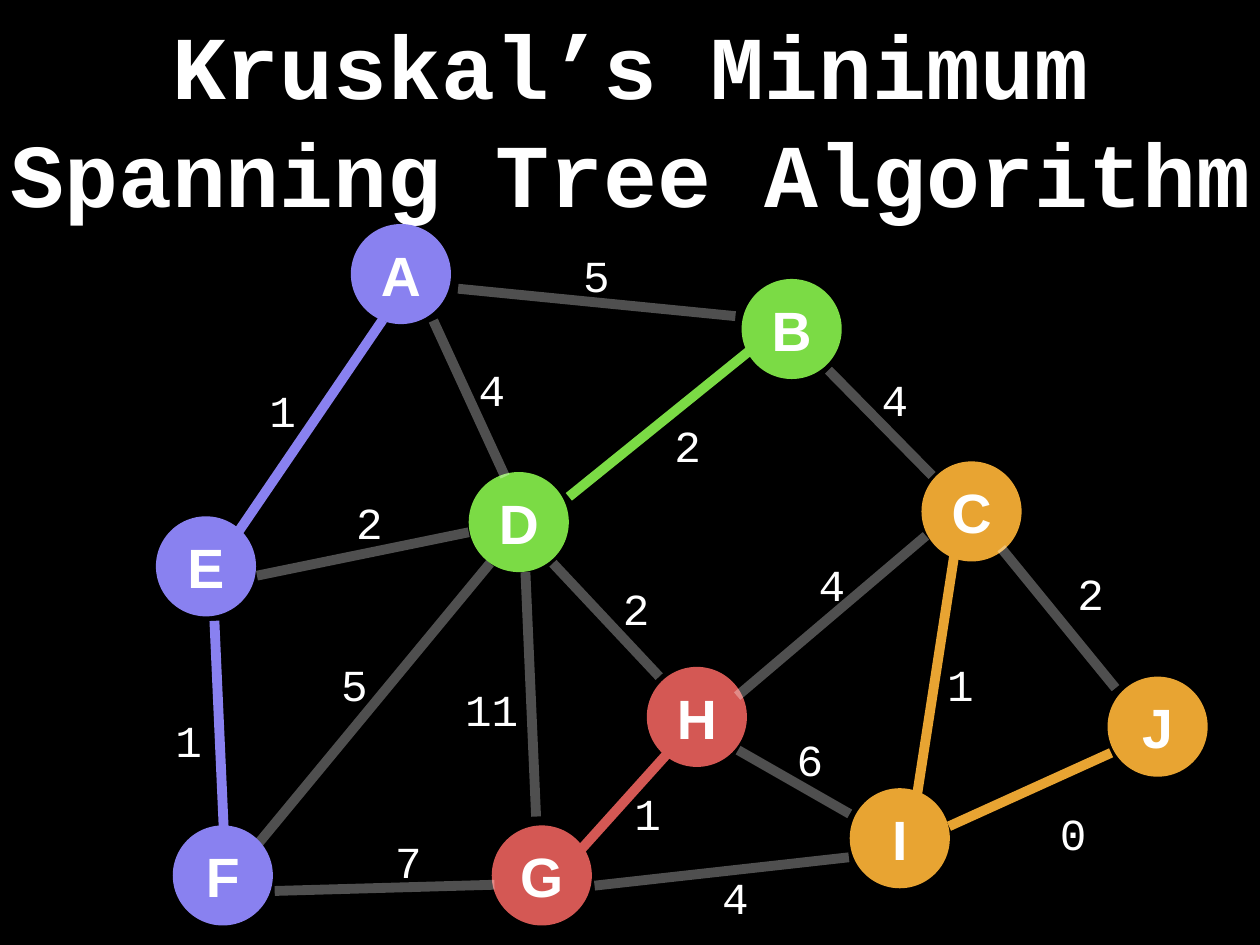
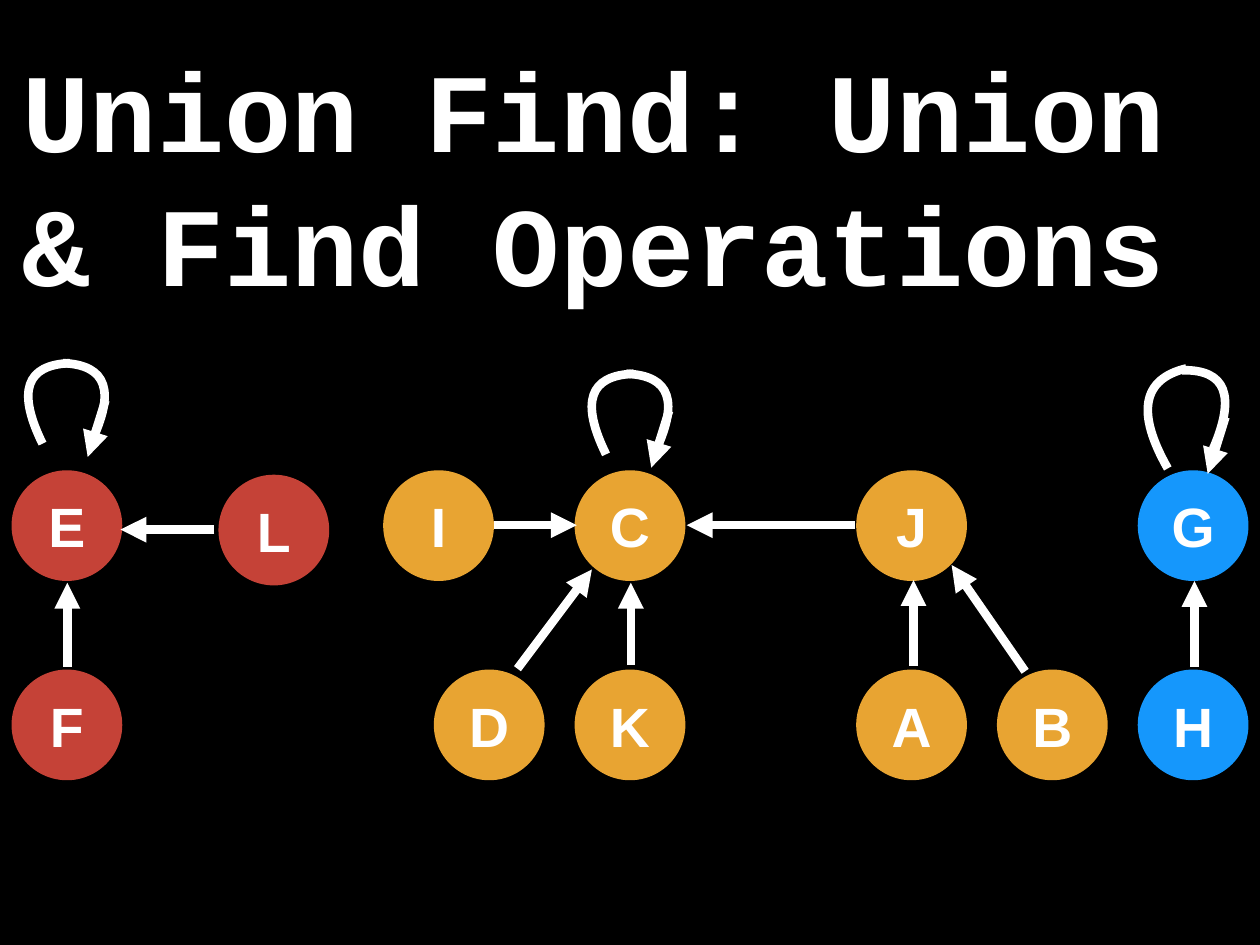
"""Build two graph slides: a spanning tree and a union-find forest."""
import pptx
import pptx.util
import pptx.dml.color
import pptx.enum.shapes
import pptx.enum.text
import pptx.oxml.ns
from lxml import etree

Inches, Pt, qn = pptx.util.Inches, pptx.util.Pt, pptx.oxml.ns.qn
RGB = pptx.dml.color.RGBColor
BLACK, WHITE = RGB(0, 0, 0), RGB(0xFF, 0xFF, 0xFF)
PURPLE, GREEN = RGB(0x89, 0x81, 0xF0), RGB(0x7B, 0xDB, 0x45)
ROSE, AMBER = RGB(0xD4, 0x58, 0x54), RGB(0xE8, 0xA4, 0x32)
BRICK, BLUE = RGB(0xC5, 0x42, 0x37), RGB(0x15, 0x97, 0xFC)
SANS, MONO = "Arial", "Courier New"
FAINT = 31

TREE_TITLE = "Kruskal’s Minimum Spanning Tree Algorithm"
TREE_SIZE = 1.13
BACK_NODES = [
    ("A", 3.96, 2.53, PURPLE), ("D", 5.29, 5.33, GREEN), ("G", 5.55, 9.32, ROSE),
    ("B", 8.37, 3.15, GREEN), ("H", 7.3, 7.53, ROSE), ("I", 9.59, 8.9, AMBER),
    ("C", 10.4, 5.21, AMBER), ("J", 12.5, 7.64, AMBER),
]
FRONT_NODES = [("E", 1.76, 5.83, PURPLE), ("F", 1.95, 9.32, PURPLE)]
# start, end, weight, centre of the weight, colour of a chosen edge
EDGES = [
    ((6.55, 9.6), (7.54, 8.5), "1", (7.31, 9.18), ROSE),
    ((2.82, 9.64), (5.53, 6.36), "5", (4, 7.72), None),
    ((2.9, 6.5), (5.29, 6.01), "2", (4.17, 5.89), None),
    ((6.71, 10), (9.58, 9.68), "4", (8.3, 10.13), None),
    ((10.34, 9.04), (10.78, 6.2), "1", (10.84, 7.72), AMBER),
    ((5.17, 3.26), (8.3, 3.57), "5", (6.73, 3.1), None),
    ((6.42, 5.61), (8.46, 3.96), "2", (7.76, 5.02), GREEN),
    ((6.24, 6.36), (7.44, 7.64), "2", (7.18, 6.86), None),
    ((9.35, 4.18), (10.52, 5.37), "4", (10.1, 4.5), None),
    ((6.05, 9.22), (5.93, 6.46), "11", (5.55, 8), None),
    ((8.32, 7.86), (10.45, 6.05), "4", (9.39, 6.59), None),
    ((3.1, 10.06), (5.58, 9.99), "7", (4.61, 9.72), None),
    ((4.89, 3.62), (5.7, 5.38), "4", (5.55, 4.39), None),
    ((8.33, 8.47), (9.59, 9.19), "6", (9.14, 8.57), None),
    ((10.71, 9.33), (12.54, 8.5), "0", (12.11, 9.4), AMBER),
    ((11.3, 6.19), (12.59, 7.77), "2", (12.31, 6.69), None),
    ((2.68, 6.02), (4.32, 3.61), "1", (3.19, 4.63), PURPLE),
    ((2.42, 7.01), (2.53, 9.47), "1", (2.13, 8.35), PURPLE),
]

UNION_TITLE = "Union Find: Union & Find Operations"
UNION_SIZE, LEFT, RIGHT = 1.25, 0.13, 12.84
STEP = (RIGHT - LEFT) / 8
HIGH, LOW = 5.31, 7.56
MEMBERS = [
    ("H", 8, LOW, BLUE), ("B", 7, LOW, AMBER), ("C", 4, HIGH, AMBER),
    ("D", 3, LOW, AMBER), ("E", 0, HIGH, BRICK), ("L", 1.47, 5.36, BRICK),
    ("G", 8, HIGH, BLUE), ("A", 6, LOW, AMBER), ("I", 2.64, HIGH, AMBER),
    ("J", 6, HIGH, AMBER), ("K", 4, LOW, AMBER), ("F", 0, LOW, BRICK),
]
ARROWS = [
    ((7.12, 7.51), (7.12, 6.58)), ((0.76, 7.53), (0.76, 6.58)),
    ((10.31, 7.52), (10.31, 6.55)), ((11.57, 7.58), (10.74, 6.38)),
    ((5.84, 7.55), (6.68, 6.43)), ((5.57, 5.93), (6.51, 5.93)),
    ((2.42, 5.98), (1.36, 5.98)), ((9.65, 5.93), (7.75, 5.93)),
    ((13.48, 7.53), (13.48, 6.56)),
]
HALF = [(0.04, 0), (-0.46, 0.02), (-0.56, 0.32), (-0.27, 0.91)]
EVEN = [HALF, [(-x, y) for x, y in HALF]]
SKEWED = [
    [(0.04, 0), (-0.46, 0.12), (-0.53, 0.5), (-0.17, 1.13)],
    [(-0.01, 0.02), (0.49, 0.01), (0.6, 0.31), (0.34, 0.91)],
]
LOOPS = [
    (7.11, 4.22, EVEN, [(0.44, 0.42), (0.24, 1.06)]),
    (0.75, 4.1, EVEN, [(0.44, 0.42), (0.24, 1.06)]),
    (13.35, 4.16, SKEWED, [(0.48, 0.55), (0.28, 1.19)]),
]


def write(shape, text, size, font, bold=False):
    frame = shape.text_frame
    frame.text = text
    frame.word_wrap = True
    frame.auto_size = pptx.enum.text.MSO_AUTO_SIZE.NONE
    frame.vertical_anchor = pptx.enum.text.MSO_ANCHOR.MIDDLE
    frame.margin_left = frame.margin_right = Inches(0.06)
    frame.margin_top = frame.margin_bottom = Inches(0.06)
    line = frame.paragraphs[0]
    line.alignment = pptx.enum.text.PP_ALIGN.CENTER
    face = line.runs[0].font
    face.size, face.name, face.bold = Pt(size), font, bold
    face.color.rgb = WHITE


def start(deck, text, size, box):
    slide = deck.slides.add_slide(deck.slide_layouts[5])
    title = slide.shapes.title
    title.left, title.top, title.width, title.height = map(Inches, box)
    write(title, text, size, MONO, True)
    return slide


def node(slide, name, x, y, size, color):
    oval = pptx.enum.shapes.MSO_SHAPE.OVAL
    shape = slide.shapes.add_shape(oval, *map(Inches, (x, y, size, size)))
    shape.shadow.inherit = False
    shape.fill.solid()
    shape.fill.fore_color.rgb = color
    shape.line.fill.background()
    write(shape, name, 45, SANS, True)


def link(slide, tail, head, width, color, alpha=None, arrow=False):
    kind = pptx.enum.shapes.MSO_CONNECTOR.STRAIGHT
    line = slide.shapes.add_connector(kind, *map(Inches, (*tail, *head)))
    line.line.width = Pt(width)
    line.line.color.rgb = color
    props = line._element.spPr
    if alpha:
        tint = props.find(".//" + qn("a:srgbClr"))
        etree.SubElement(tint, qn("a:alpha"), val=str(alpha * 1000))
    if arrow:
        etree.SubElement(props.find(qn("a:ln")), qn("a:tailEnd"), type="triangle")
    etree.SubElement(props, qn("a:effectLst"))


def label(slide, text, x, y):
    width, height = 0.14 + 0.35 * len(text), 0.79
    box = slide.shapes.add_textbox(
        *map(Inches, (x - width / 2, y - height / 2, width, height)))
    write(box, text, 36, MONO)


def span(a, b, c, d, count=40):
    """Return the lowest and highest value of one axis of a cubic curve."""
    steps = [i / count for i in range(count + 1)]
    values = [a * (1 - t) ** 3 + 3 * b * t * (1 - t) ** 2
              + 3 * c * t * t * (1 - t) + d * t ** 3 for t in steps]
    return min(values), max(values)


def curve(slide, x, y, bend):
    (left, right), (top, bottom) = (span(*axis) for axis in zip(*bend))
    low = Inches(x + left), Inches(y + top)
    high = Inches(x + right), Inches(y + bottom)
    pen = slide.shapes.build_freeform(*low)
    pen.add_line_segments([high, low, high], close=False)
    shape = pen.convert_to_shape()
    shape.shadow.inherit = False
    shape.fill.background()
    shape.line.color.rgb = WHITE
    shape.line.width = Pt(7)
    route = shape._element.spPr.find(".//" + qn("a:path"))
    spots = list(route.iter(qn("a:pt")))
    for spot, (dx, dy) in zip(spots, bend):
        spot.set("x", str(Inches(dx - left)))
        spot.set("y", str(Inches(dy - top)))
    for line in route.findall(qn("a:lnTo")):
        route.remove(line)
    etree.SubElement(route, qn("a:cubicBezTo")).extend(spots[1:])


def tree(deck):
    slide = start(deck, TREE_TITLE, 73, (0.02, -0.01, 14.18, 2.67))
    for name, x, y, color in BACK_NODES:
        node(slide, name, x, y, TREE_SIZE, color)
    for tail, head, _, _, color in EDGES:
        link(slide, tail, head, 8, color or WHITE, None if color else FAINT)
    for name, x, y, color in FRONT_NODES:
        node(slide, name, x, y, TREE_SIZE, color)
    for _, _, weight, spot, _ in EDGES:
        label(slide, weight, *spot)


def union(deck):
    slide = start(deck, UNION_TITLE, 91, (0.15, 0.46, 13.1, 3.03))
    for name, col, y, color in MEMBERS:
        node(slide, name, LEFT + STEP * col, y, UNION_SIZE, color)
    for x, y, halves, tip in LOOPS:
        for bend in halves:
            curve(slide, x, y, bend)
        tail, head = [(x + dx, y + dy) for dx, dy in tip]
        link(slide, tail, head, 7, WHITE, arrow=True)
    for tail, head in ARROWS:
        link(slide, tail, head, 7, WHITE, arrow=True)


def main():
    deck = pptx.Presentation()
    deck.slide_width, deck.slide_height = Inches(14.22), Inches(10.67)
    back = deck.slide_master.background.fill
    back.solid()
    back.fore_color.rgb = BLACK
    tree(deck)
    union(deck)
    deck.save("out.pptx")


if __name__ == "__main__":
    main()
